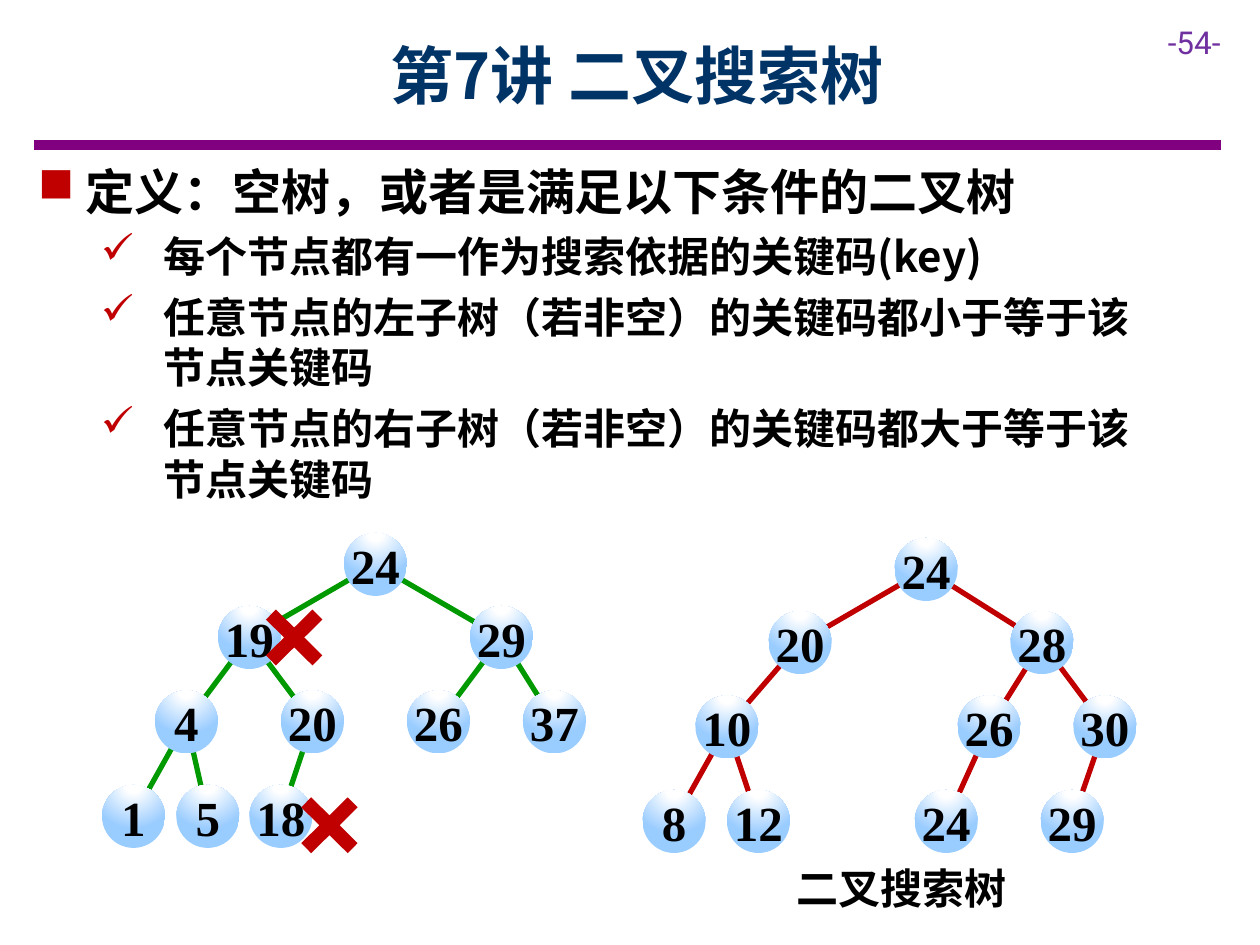
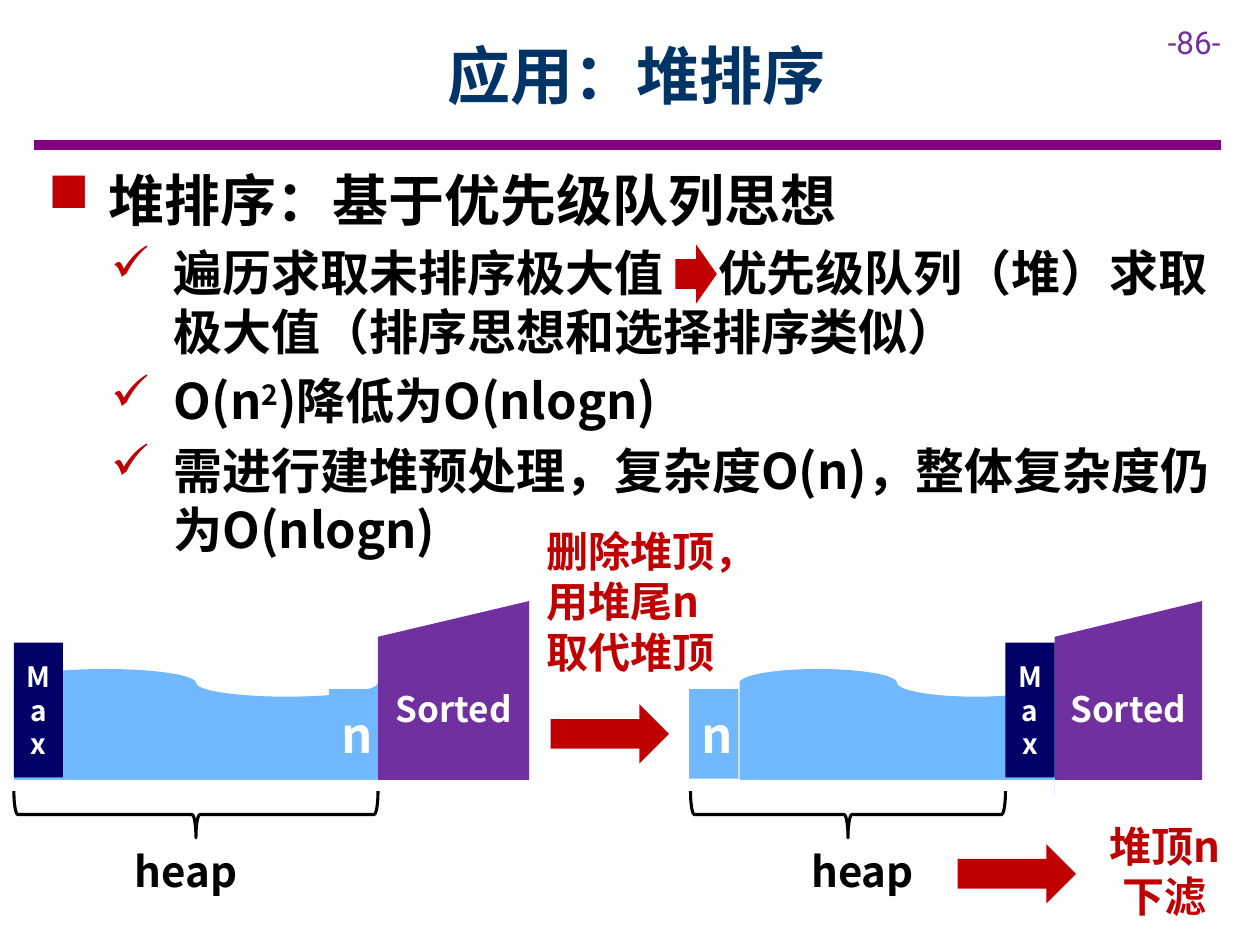
from math import hypot

from lxml import etree
from pptx import Presentation
from pptx.dml.color import RGBColor
from pptx.enum.shapes import MSO_CONNECTOR, MSO_SHAPE
from pptx.enum.text import MSO_ANCHOR, MSO_AUTO_SIZE, PP_ALIGN
from pptx.oxml import parse_xml
from pptx.oxml.ns import nsdecls, qn
from pptx.util import Inches, Pt

LINE = MSO_CONNECTOR.STRAIGHT
OVAL = MSO_SHAPE.OVAL
RECT = MSO_SHAPE.RECTANGLE
CROSS = MSO_SHAPE.MATH_MULTIPLY
ARROW = MSO_SHAPE.RIGHT_ARROW
TAPE = MSO_SHAPE.FLOWCHART_PUNCHED_TAPE
SLANT = MSO_SHAPE.FLOWCHART_MANUAL_INPUT
BRACE = MSO_SHAPE.RIGHT_BRACE
LEFT, MID = PP_ALIGN.LEFT, PP_ALIGN.CENTER
TOP, CENTER = MSO_ANCHOR.TOP, MSO_ANCHOR.MIDDLE
FIXED = MSO_AUTO_SIZE.NONE

BLACK = RGBColor(0, 0, 0)
WHITE = RGBColor(255, 255, 255)
RED = RGBColor(0xC0, 0, 0)
GREEN = RGBColor(0, 0x99, 0)
NAVY = RGBColor(0, 0x33, 0x66)
DARK = RGBColor(0, 0, 0x66)
PLUM = RGBColor(0x80, 0, 0x80)
VIOLET = RGBColor(0x70, 0x30, 0xA0)
SKY = RGBColor(0x70, 0xB8, 0xFF)

SANS, SERIF, PLAIN = "Noto Sans CJK SC", "Times New Roman", "Roboto"
WIDE, HIGH = Inches(10), Inches(7.5)
COL, ROW = WIDE / 100, HIGH / 75

LEVELS = (44.8, 50.6, 57.3, 64.8)
DOT, TRIM = 5, 1.3
LEFT_TREE = [
    ("24", 29.8, None), ("19", 19.8, 0), ("29", 39.8, 0),
    ("4", 14.8, 1), ("20", 24.8, 1), ("26", 34.8, 2), ("37", 44, 2),
    ("1", 10.6, 3), ("5", 16.5, 3), ("18", 22.3, 4),
]
RIGHT_TREE = [
    ("24", 73.5, None), ("20", 63.5, 0), ("28", 82.7, 0),
    ("10", 57.7, 1), ("26", 78.5, 2), ("30", 87.7, 2),
    ("8", 53.5, 3), ("12", 60.2, 3), ("24", 75.1, 4), ("29", 85.1, 5),
]
GLOSS = f"""<a:gradFill {nsdecls('a')} rotWithShape="1"><a:gsLst>
<a:gs pos="0"><a:srgbClr val="FFFFFF"/></a:gs>
<a:gs pos="18000"><a:srgbClr val="FFFFFF"/></a:gs>
<a:gs pos="100000"><a:srgbClr val="99CCFF"/></a:gs></a:gsLst>
<a:path path="circle"><a:fillToRect l="50000" t="-80000" r="50000" b="180000"/>
</a:path></a:gradFill>"""


def put(item, values):
    """Set every attribute named in a dict."""
    for name, value in values.items():
        setattr(item, name, value)


def area(x, y, w, h):
    """Turn grid columns and rows into lengths."""
    return [round(n) for n in (x * COL, y * ROW, w * COL, h * ROW)]


def move(shape, box):
    """Place a shape on the grid."""
    put(shape, dict(zip(("left", "top", "width", "height"), area(*box))))


def add_run(para, text, size, color, face=SANS, bold=True):
    """Add a run with its Latin and East Asian font."""
    run = para.add_run()
    run.text = text
    put(run.font, {"size": Pt(size), "bold": bold, "name": face})
    run.font.color.rgb = color
    mark = run.font._element
    etree.SubElement(mark, qn("a:ea")).set("typeface", face)
    return mark


def write(shape, text, size, color, align=LEFT, anchor=TOP, wrap=True,
          pad=None, **look):
    """Fill a shape with one paragraph."""
    frame = shape.text_frame
    put(frame, {"auto_size": FIXED, "word_wrap": wrap,
                "vertical_anchor": anchor})
    if pad is not None:
        sides = ("left", "right", "top", "bottom")
        put(frame, {f"margin_{side}": Inches(pad) for side in sides})
    para = frame.paragraphs[0]
    para.alignment = align
    add_run(para, text, size, color, **look)


def label(shapes, box, text, size, color, **look):
    """Add a text box."""
    write(shapes.add_textbox(*area(*box)), text, size, color, **look)


def form(shapes, kind, box, fill=None):
    """Add a flat preset shape without an outline."""
    shape = shapes.add_shape(kind, *area(*box))
    shape.shadow.inherit = False
    shape.line.fill.background()
    if fill is None:
        shape.fill.background()
    else:
        shape.fill.solid()
        shape.fill.fore_color.rgb = fill
    return shape


def link(shapes, start, end, color, width):
    """Draw a straight line between two grid points."""
    ends = area(*start, *end)
    line = shapes.add_connector(LINE, *ends)
    line.line.color.rgb = color
    line.line.width = Pt(width)
    etree.SubElement(line._element.spPr, qn("a:effectLst"))


def bullet(para, sign, hang, left):
    """Give a paragraph a red bullet and a hanging indent."""
    props = para._p.get_or_add_pPr()
    props.set("marL", str(Inches(left)))
    props.set("indent", str(-Inches(hang)))
    tint = etree.SubElement(props, qn("a:buClr"))
    etree.SubElement(tint, qn("a:srgbClr")).set("val", str(RED))
    etree.SubElement(props, qn("a:buFont")).set("typeface", "OpenSymbol")
    etree.SubElement(props, qn("a:buChar")).set("char", sign)


def outline(shape, box, head, points, size, hang):
    """Write the head and its ticked points into the body placeholder."""
    move(shape, box)
    frame = shape.text_frame
    put(frame, {"auto_size": FIXED, "word_wrap": True})
    for num, parts in enumerate([[head], *points]):
        para = frame.add_paragraph() if num else frame.paragraphs[0]
        put(para, {"level": min(num, 1), "space_before": Pt(0),
                   "space_after": Pt(6), "alignment": LEFT})
        bullet(para, *(("✓", 0.5, 1) if num else ("■", hang, hang)))
        for part in parts:
            text, extra = part if isinstance(part, tuple) else (part, {})
            mark = add_run(para, text, size if num else size + 4, BLACK)
            for name, value in extra.items():
                mark.set(name, value)


def start(deck, title, page):
    """Add a slide with its title, rule and page mark."""
    slide = deck.slides.add_slide(deck.slide_layouts[1])
    link(slide.shapes, (2.7, 11.5), (96.9, 11.5), PLUM, 6)
    label(slide.shapes, (91.7, 1.3, 8.3, 4), page, 18, VIOLET,
          face=PLAIN, bold=False)
    move(slide.shapes.title, (9, 0.9, 83.1, 10))
    write(slide.shapes.title, title, 36, NAVY, align=MID, anchor=CENTER)
    return slide


def node(shapes, key, x, y):
    """Draw a glossy tree node around its key."""
    ball = form(shapes, OVAL, (x - DOT / 2, y - DOT / 2, DOT, DOT))
    props = ball._element.spPr
    props.replace(props.find(qn("a:noFill")), parse_xml(GLOSS))
    write(ball, key, 28, BLACK, align=MID, anchor=CENTER, wrap=False,
          pad=0, face=SERIF)


def tree(shapes, nodes, color, drop=0):
    """Draw the edges of a tree, then its nodes."""
    depths, spots = [], []
    for key, x, up in nodes:
        depth = 0 if up is None else depths[up] + 1
        depths.append(depth)
        y = LEVELS[depth] + drop
        spots.append((x, y))
        if up is not None:
            px, py = spots[up]
            span = hypot(x - px, y - py)
            dx, dy = (x - px) / span * TRIM, (y - py) / span * TRIM
            link(shapes, (px + dx, py + dy), (x - dx, y - dy), color, 3)
    for (key, *_), spot in zip(nodes, spots):
        node(shapes, key, *spot)


def block(shapes, kind, box, fill, text, size):
    """Draw a filled block with white text."""
    write(form(shapes, kind, box, fill), text, size, WHITE,
          align=MID, anchor=CENTER, pad=0.1)


def heap(slide, left, wave, tail, peak, span, side):
    """Draw a heap, its brace and the sorted part as a group."""
    shapes = slide.shapes.add_group_shape().shapes
    edge = left + 28.9
    block(shapes, SLANT, (edge, 47.7, side, 14.2), VIOLET, "Sorted", 20)
    tape = form(shapes, TAPE, (wave, 53.1, edge - wave, 11), SKY)
    tape._element.spPr.xfrm.set("flipH", "1")
    form(shapes, RECT, (left, 61.9, 28.9, 4.1), WHITE)
    block(shapes, RECT, (tail, 54.7, 3.9, 7.1), SKY, "n", 28)
    block(shapes, RECT, (peak, 51, 3.9, 10.7), DARK, "Max", 16)
    middle, deep = left + span / 2, 3.7
    brace = form(shapes, BRACE,
                 (middle - deep / 2, 64.65 - span / 2, deep, span))
    brace.rotation = 90
    brace.line.color.rgb = BLACK
    brace.line.width = Pt(1.75)
    label(shapes, (left + 8.6, 66.6, 10.3, 5), "heap", 24, BLACK, wrap=False)


def search(deck):
    """Build the slide on binary search trees."""
    slide = start(deck, "第7讲 二叉搜索树", "-54-")
    shapes = slide.shapes
    outline(slide.placeholders[1], (2, 12.3, 91.3, 28.4),
            "定义：空树，或者是满足以下条件的二叉树",
            [["每个节点都有一作为搜索依据的关键码(key)"],
             *[[f"任意节点的{side}子树（若非空）的关键码都{rank}于等于该节点关键码"]
               for side, rank in ("左小", "右大")]], 24, 0.38)
    tree(shapes, LEFT_TREE, GREEN)
    tree(shapes, RIGHT_TREE, RED, 0.4)
    for x, y in ((19.8, 47.1), (22.6, 62)):
        form(shapes, CROSS, (x, y, 7.1, 7), RED).adjustments[0] = 0.16
    label(shapes, (62.2, 68, 18.8, 5), "二叉搜索树", 24, BLACK, wrap=False)


def sort(deck):
    """Build the slide on heap sort."""
    slide = start(deck, "应用：堆排序", "-86-")
    shapes = slide.shapes
    outline(slide.placeholders[1], (2.8, 12.6, 96.1, 32.5),
            "堆排序：基于优先级队列思想",
            [["遍历求取未排序极大值", (" ", {"spc": "2500"}),
              "优先级队列（堆）求取极大值（排序思想和选择排序类似）"],
             ["O(n", ("2", {"baseline": "30000"}), ")降低为O(nlogn)"],
             ["需进行建堆预处理，复杂度O(n)，整体复杂度仍为O(nlogn)"]], 28, 0.48)
    form(shapes, ARROW, (53.6, 19.4, 3.3, 4.7), RED)
    heap(slide, 1.1, wave=1.1, tail=26.1, peak=1.1, span=28.9, side=12)
    heap(slide, 54.8, wave=58.7, tail=54.7, peak=79.8, span=25, side=11.7)
    for x, y in ((43.7, 55.9), (76, 67)):
        form(shapes, ARROW, (x, y, 9.4, 4.7), RED)
    label(shapes, (42.4, 41.2, 16.9, 13.1), "删除堆顶，用堆尾n取代堆顶", 24, RED)
    label(shapes, (86, 64.6, 12.9, 9.1), "堆顶n下滤", 24, RED, align=MID)


def main():
    """Build and save the deck."""
    deck = Presentation()
    put(deck, {"slide_width": WIDE, "slide_height": HIGH})
    search(deck)
    sort(deck)
    deck.save("out.pptx")


if __name__ == "__main__":
    main()
